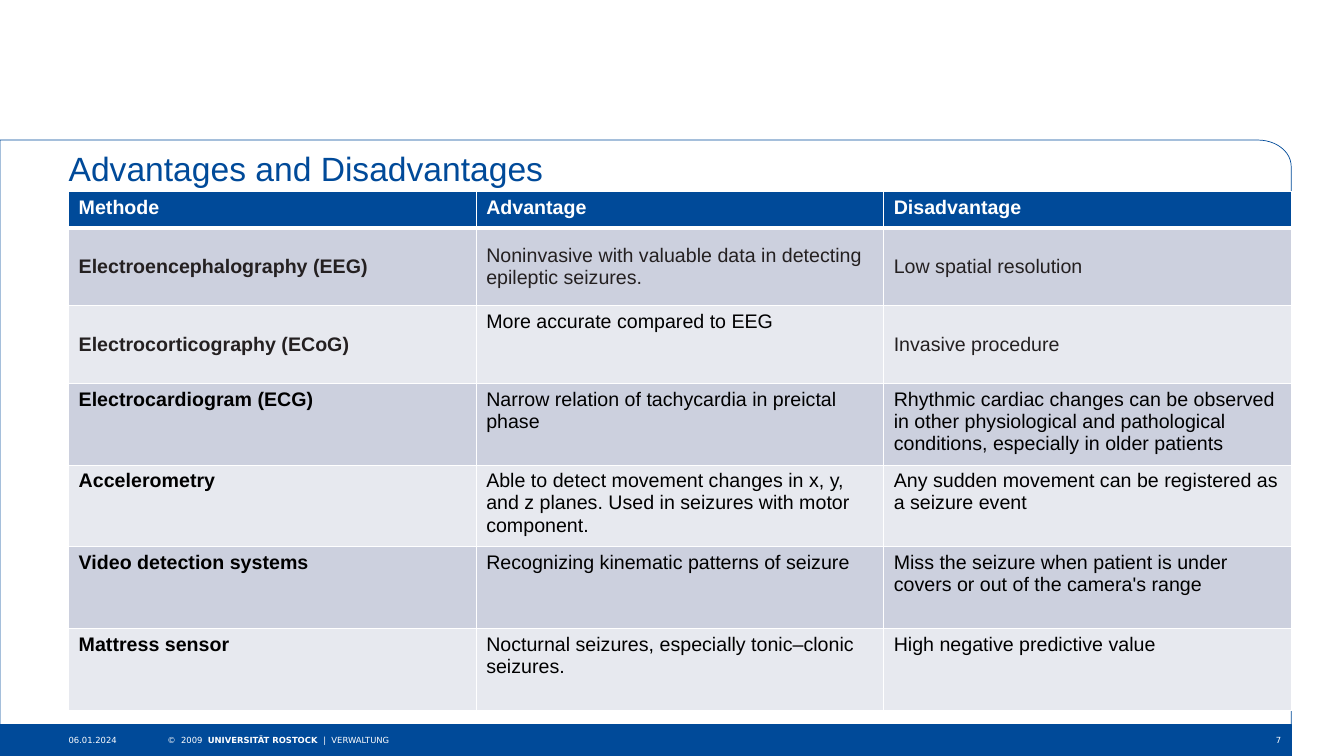
import math
from lxml import etree
from pptx import Presentation
from pptx.dml.color import RGBColor
from pptx.enum import shapes, text
from pptx.oxml import ns
from pptx.util import Cm, Pt

BLUE = RGBColor(0x00, 0x4A, 0x99)
WHITE = RGBColor(0xFF, 0xFF, 0xFF)
BLACK = RGBColor(0x00, 0x00, 0x00)
CHARCOAL = RGBColor(0x24, 0x20, 0x21)
BAND_DARK = RGBColor(0xCC, 0xD0, 0xDE)
BAND_LIGHT = RGBColor(0xE7, 0xE9, 0xEF)


def add_footer_text(left, width, right_margin, runs, alignment):
    box = slide.shapes.add_textbox(Cm(left), Cm(18.26), Cm(width), Cm(0.79))
    frame = box.text_frame
    frame.word_wrap = True
    frame.vertical_anchor = text.MSO_ANCHOR.MIDDLE
    frame.margin_left = 0
    frame.margin_right = Cm(right_margin)
    paragraph = frame.paragraphs[0]
    paragraph.alignment = alignment
    paragraph.font.name = "DejaVu Sans"
    paragraph.font.size = Pt(6)
    paragraph.font.color.rgb = WHITE
    for words, bold in runs:
        run = paragraph.add_run()
        run.text = words
        run.font.bold = bold


def add_border(cell, side, points):
    properties = cell._tc.get_or_add_tcPr()
    line = etree.SubElement(properties, ns.qn(f"a:ln{side}"), w=str(Pt(points)))
    fill = etree.SubElement(line, ns.qn("a:solidFill"))
    etree.SubElement(fill, ns.qn("a:srgbClr"), val=str(WHITE))


presentation = Presentation()
presentation.slide_width = Cm(33.87)
presentation.slide_height = Cm(19.05)
slide = presentation.slides.add_slide(presentation.slide_layouts[5])

footer_bar = slide.shapes.add_shape(
    shapes.MSO_SHAPE.RECTANGLE, 0, Cm(18.26), Cm(32.54), Cm(0.79))
footer_bar.fill.solid()
footer_bar.fill.fore_color.rgb = BLUE

corner = []
for step in range(13):
    angle = math.pi / 2 * step / 12
    corner.append((Cm(31.7 + 0.84 * math.sin(angle)), Cm(4.19 - 0.66 * math.cos(angle))))
builder = slide.shapes.build_freeform(0, Cm(3.53))
builder.add_line_segments(corner + [(Cm(32.54), Cm(18.26)), (0, Cm(18.26))], close=True)
content_frame = builder.convert_to_shape()
content_frame.fill.background()

for shape in (footer_bar, content_frame):
    shape.shadow.inherit = False
    shape.line.color.rgb = BLUE
    shape.line.width = Pt(0.5)

title = slide.shapes.title
title.left, title.top, title.width, title.height = Cm(1.73), Cm(3.73), Cm(13.46), Cm(1.12)
frame = title.text_frame
frame.text = "Advantages and Disadvantages"
frame.word_wrap = True
frame.auto_size = text.MSO_AUTO_SIZE.NONE
frame.vertical_anchor = text.MSO_ANCHOR.TOP
frame.margin_left = frame.margin_right = frame.margin_top = frame.margin_bottom = 0
paragraph = frame.paragraphs[0]
paragraph.alignment = text.PP_ALIGN.LEFT
paragraph.font.name = "Arial"
paragraph.font.size = Pt(24)
paragraph.font.color.rgb = BLUE

add_footer_text(1.73, 2.49, 0, [("06.01.2024", False)], text.PP_ALIGN.LEFT)
add_footer_text(4.22, 26.64, 0.25, [
    ("©  2009  ", False), ("UNIVERSITÄT ROSTOCK  ", True), ("|  VERWALTUNG", False),
], text.PP_ALIGN.LEFT)
add_footer_text(30.86, 1.68, 0.25, [("7", False)], text.PP_ALIGN.RIGHT)

methods = [
    ("Methode", "Advantage", "Disadvantage"),
    ("Electroencephalography (EEG)",
     "Noninvasive with valuable data in detecting epileptic seizures.",
     "Low spatial resolution"),
    ("Electrocorticography (ECoG)", "More accurate compared to EEG", "Invasive procedure"),
    ("Electrocardiogram (ECG)",
     "Narrow relation of tachycardia in preictal phase",
     "Rhythmic cardiac changes can be observed in other physiological and "
     "pathological conditions, especially in older patients"),
    ("Accelerometry",
     "Able to detect movement changes in x, y, and z planes. "
     "Used in seizures with motor component.",
     "Any sudden movement can be registered as a seizure event"),
    ("Video detection systems",
     "Recognizing kinematic patterns of seizure",
     "Miss the seizure when patient is under covers or out of the camera's range"),
    ("Mattress sensor",
     "Nocturnal seizures, especially tonic–clonic seizures.",
     "High negative predictive value"),
]
row_heights = [0.91, 1.96, 1.96, 2.06, 2.06, 2.06, 2.06]
centred_cells = {(1, 0), (1, 1), (1, 2), (2, 0), (2, 2)}

table = slide.shapes.add_table(
    len(methods), 3, Cm(1.73), Cm(4.83), Cm(30.81), Cm(sum(row_heights))).table
table.first_row = False
table.horz_banding = False
for column in table.columns:
    column.width = Cm(10.27)

for row, (height, entries) in enumerate(zip(row_heights, methods)):
    table.rows[row].height = Cm(height)
    for column, words in enumerate(entries):
        cell = table.cell(row, column)
        for side in "LRTB":
            heavy = (row, side) in ((0, "B"), (1, "T"))
            add_border(cell, side, 3 if heavy else 1)
        cell.fill.solid()
        cell.text = words
        font = cell.text_frame.paragraphs[0].font
        font.name = "Arial"
        font.size = Pt(14)
        font.bold = row == 0 or column == 0
        if row == 0:
            cell.fill.fore_color.rgb = BLUE
            font.color.rgb = WHITE
        else:
            cell.fill.fore_color.rgb = BAND_DARK if row % 2 else BAND_LIGHT
            font.color.rgb = BLACK
        if (row, column) in centred_cells:
            cell.vertical_anchor = text.MSO_ANCHOR.MIDDLE
            font.color.rgb = CHARCOAL

presentation.save("out.pptx")
